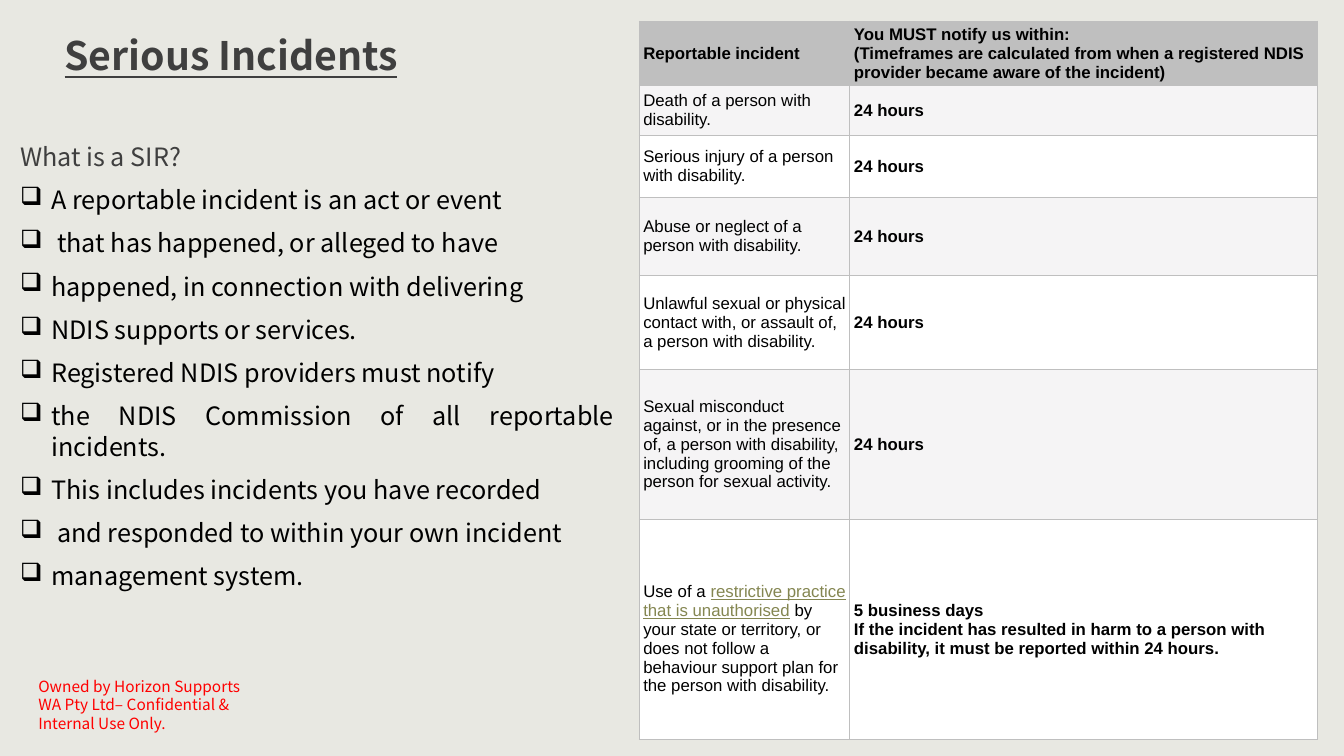
from lxml import etree
from pptx import Presentation
from pptx.dml.color import RGBColor
from pptx.enum.text import MSO_ANCHOR, PP_ALIGN
from pptx.oxml.ns import qn
from pptx.util import Inches, Pt

MIDDLE, BOTTOM, TOP = MSO_ANCHOR.MIDDLE, MSO_ANCHOR.BOTTOM, MSO_ANCHOR.TOP
JUSTIFY = PP_ALIGN.JUSTIFY
SANS, TABLE_FONT = "Noto Sans CJK JP", "Arial"
BLACK, DARK, RED, OLIVE, GREY = "000000", "3F3F3F", "FF0000", "848651", "BFBFBF"
BANDS = ["FFFFFF", "F5F4F5"]

TITLE = "Serious Incidents"
QUESTION = "What is a SIR?"
POINTS = [
    "A reportable incident is an act or event",
    " that has happened, or alleged to have ",
    "happened, in connection with delivering ",
    "NDIS supports or services. ",
    "Registered NDIS providers must notify ",
    "the NDIS Commission of all reportable incidents.",
    "This includes incidents you have recorded",
    " and responded to within your own incident ",
    "management system.",
]
OWNER = "Owned by Horizon Supports WA Pty Ltd– Confidential & Internal Use Only."
LINKED = "restrictive practice that is unauthorised"
ROWS = [
    (0.6, "Reportable incident",
     "You MUST notify us within:\n(Timeframes are calculated from when a registered NDIS "
     "provider became aware of the incident)"),
    (0.49, "Death of a person with disability.", "24 hours"),
    (0.62, "Serious injury of a person with disability.", "24 hours"),
    (0.77, "Abuse or neglect of a person with disability.", "24 hours"),
    (0.94, "Unlawful sexual or physical contact with, or assault of, a person with disability.",
     "24 hours"),
    (1.48, "Sexual misconduct against, or in the presence of, a person with disability, "
     "including grooming of the person for sexual activity.", "24 hours"),
    (2.19, f"Use of a {LINKED} by your state or territory, or does not follow a behaviour "
     "support plan for the person with disability.",
     "5 business days\nIf the incident has resulted in harm to a person with disability, "
     "it must be reported within 24 hours."),
]
COLUMNS = [2.09, 4.64]


def color(value):
    return RGBColor.from_string(value)


def style(span, name, size, ink, bold=False, underline=False):
    span.font.name = name
    span.font.size = Pt(size)
    span.font.color.rgb = color(ink)
    span.font.bold = bold
    span.font.underline = underline


def add_text(page, place, lines, anchor):
    box = page.shapes.add_textbox(*[Inches(length) for length in place])
    frame = box.text_frame
    frame.word_wrap = True
    frame.vertical_anchor = anchor
    frame.margin_left = frame.margin_top = frame.margin_right = Inches(0.12)
    frame.margin_bottom = Inches(0.1)
    frame.text = "\n".join(lines)
    return frame.paragraphs


def add_bullet(para):
    props = para._p.get_or_add_pPr()
    props.set("marL", str(Inches(0.31)))
    props.set("indent", str(-Inches(0.31)))
    ink = etree.SubElement(props, qn("a:buClr"))
    etree.SubElement(ink, qn("a:srgbClr"), val=BLACK)
    etree.SubElement(props, qn("a:buChar"), char="❑")


def add_borders(cell):
    props = cell._tc.get_or_add_tcPr()
    for position, side in enumerate(("lnL", "lnR", "lnT", "lnB")):
        line = etree.Element(qn(f"a:{side}"), w=str(Pt(0.75)))
        fill = etree.SubElement(line, qn("a:solidFill"))
        etree.SubElement(fill, qn("a:srgbClr"), val=GREY)
        props.insert(position, line)


def fill_cell(cell, text, fill, bold):
    cell.fill.solid()
    cell.fill.fore_color.rgb = color(fill)
    cell.vertical_anchor = MIDDLE
    cell.margin_left = cell.margin_right = Inches(0.04)
    cell.margin_top = cell.margin_bottom = Inches(0.02)
    add_borders(cell)
    cell.text = text
    for para in cell.text_frame.paragraphs:
        before, linked, after = para.text.partition(LINKED)
        para.text = before
        for part in filter(None, (linked, after)):
            para.add_run().text = part
        for span in para.runs:
            is_link = span.text == LINKED
            style(span, TABLE_FONT, 12, OLIVE if is_link else BLACK, bold, is_link)


def add_incident_table(page):
    heights = [row[0] for row in ROWS]
    frame = page.shapes.add_table(len(ROWS), len(COLUMNS), Inches(6.34), Inches(0.21),
                                  Inches(sum(COLUMNS)), Inches(sum(heights)))
    table = frame.table
    for column, width in zip(table.columns, COLUMNS):
        column.width = Inches(width)
    for index, (height, *texts) in enumerate(ROWS):
        table.rows[index].height = Inches(height)
        fill = BANDS[index % 2] if index else GREY
        for place, text in enumerate(texts):
            fill_cell(table.cell(index, place), text, fill, index == 0 or place == 1)
    table.cell(len(ROWS) - 1, 0).margin_top = Inches(0.21)


def main():
    deck = Presentation()
    deck.slide_width, deck.slide_height = Inches(13.33), Inches(7.5)
    page = deck.slides.add_slide(deck.slide_layouts[6])
    page.background.fill.solid()
    page.background.fill.fore_color.rgb = color("E8E8E2")

    title = add_text(page, (0.52, 0.21, 4.89, 0.67), [TITLE], BOTTOM)[0]
    title.line_spacing = 1.3
    style(title.runs[0], SANS, 28, DARK, True, True)

    question, *points = add_text(page, (0.08, 1.28, 6.13, 3.99), [QUESTION, *POINTS], TOP)
    question.alignment = JUSTIFY
    style(question.runs[0], SANS, 18, DARK)
    for para in points:
        para.alignment = JUSTIFY
        para.space_before = Pt(9.3)
        add_bullet(para)
        style(para.runs[0], SANS, 18, BLACK)

    add_incident_table(page)

    owner = add_text(page, (0.26, 6.73, 2.36, 0.5), [OWNER], MIDDLE)[0]
    style(owner.runs[0], SANS, 11, RED)
    deck.save("out.pptx")


if __name__ == "__main__":
    main()
